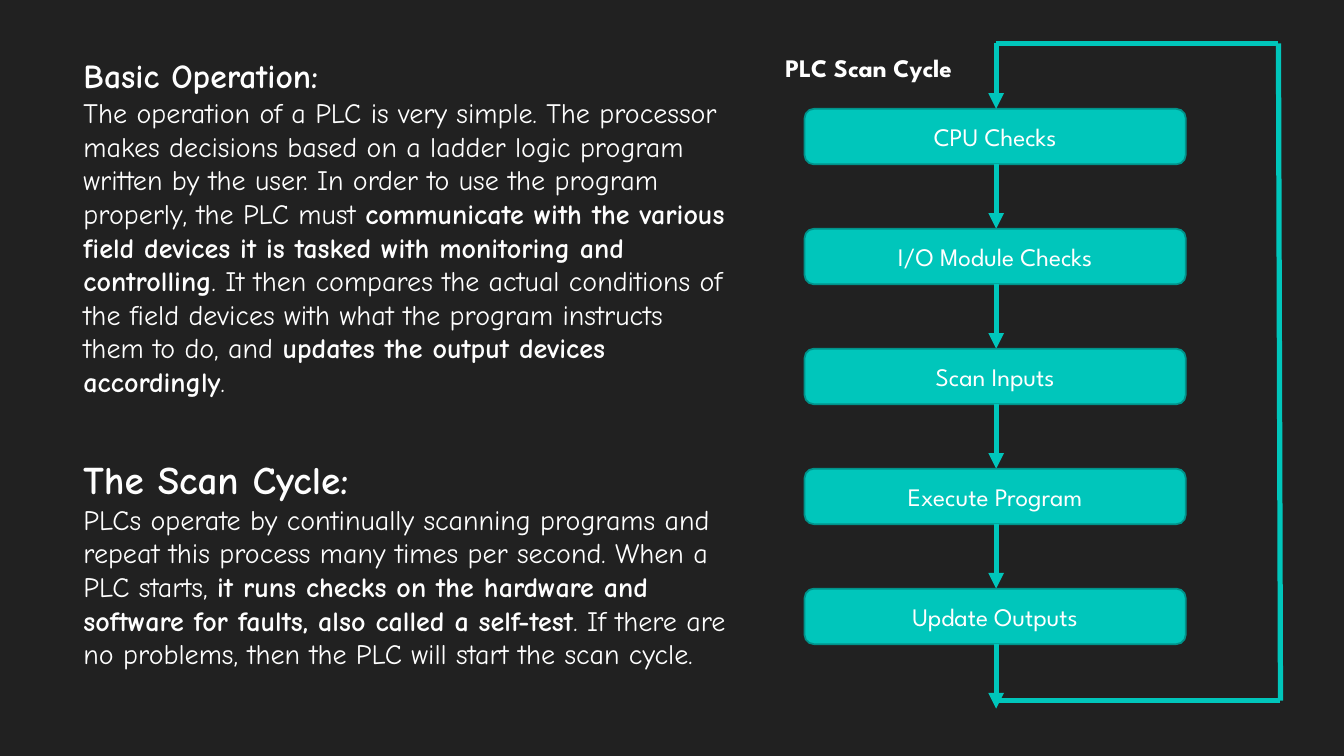
import dataclasses

import pptx
import pptx.dml.color
import pptx.enum.shapes
import pptx.enum.text
import pptx.oxml
import pptx.oxml.ns
import pptx.util

Inches = pptx.util.Inches
Pt = pptx.util.Pt


def color(code):
    """Return the colour for a hex code."""
    return pptx.dml.color.RGBColor.from_string(code)


@dataclasses.dataclass(frozen=True)
class Theme:
    """Colours, fonts and type sizes of the slide."""

    background = color("212121")
    prose = color("FEFEFE")
    label = color("FFFFFF")
    accent = color("00C6BB")
    outline = color("00928A")
    prose_font = "Comic Neue"
    label_font = "League Spartan"
    body_size = Pt(20)
    label_size = Pt(18)
    outline_width = Pt(1.25)
    arrow_width = Pt(3.75)


THEME = Theme()

BASIC_OPERATION = [
    ("The operation of a PLC is very simple. The processor makes decisions based on a "
     "ladder logic program written by the user. In order to use the program properly, "
     "the PLC must ", False),
    ("communicate with the various field devices it is tasked with monitoring and "
     "controlling", True),
    (". It then compares the actual conditions of the field devices with what the "
     "program instructs them to do, and ", False),
    ("updates the output devices accordingly", True),
    (".", False),
]
SCAN_CYCLE = [
    ("PLCs operate by continually scanning programs and repeat this process many times "
     "per second. When a PLC starts, ", False),
    ("it runs checks on the hardware and software for faults, also called a self-test",
     True),
    (". If there are no problems, then the PLC will start the scan cycle.", False),
]
STEPS = ["CPU Checks", "I/O Module Checks", "Scan Inputs", "Execute Program",
         "Update Outputs"]


def set_font(para, name, size, ink, bold=None):
    """Set the font of a whole paragraph."""
    para.font.name = name
    para.font.size = size
    para.font.color.rgb = ink
    para.font.bold = bold


def add_text_frame(page, left, top, width, height):
    """Add a wrapping text box anchored at the bottom and return its frame."""
    box = page.shapes.add_textbox(
        Inches(left), Inches(top), Inches(width), Inches(height))
    box.text_frame.word_wrap = True
    box.text_frame.vertical_anchor = pptx.enum.text.MSO_ANCHOR.BOTTOM
    return box.text_frame


def add_section(page, left, top, width, height, heading, heading_size, spans):
    """Add a heading with a paragraph of plain and bold spans below it."""
    frame = add_text_frame(page, left, top, width, height)
    title = frame.paragraphs[0]
    title.text = heading
    set_font(title, THEME.prose_font, heading_size, THEME.prose, True)
    para = frame.add_paragraph()
    set_font(para, THEME.prose_font, THEME.body_size, THEME.prose)
    for text, bold in spans:
        span = para.add_run()
        span.text = text
        span.font.bold = bold


def add_step(page, left, top, width, height, text):
    """Add one rounded step of the cycle."""
    step = page.shapes.add_shape(
        pptx.enum.shapes.MSO_SHAPE.ROUNDED_RECTANGLE,
        Inches(left), Inches(top), Inches(width), Inches(height))
    step.shadow.inherit = False
    step.fill.solid()
    step.fill.fore_color.rgb = THEME.accent
    step.line.color.rgb = THEME.outline
    step.line.width = THEME.outline_width
    step.text_frame.vertical_anchor = pptx.enum.text.MSO_ANCHOR.MIDDLE
    para = step.text_frame.paragraphs[0]
    para.text = text
    para.alignment = pptx.enum.text.PP_ALIGN.CENTER
    set_font(para, THEME.label_font, THEME.label_size, THEME.label)


def add_line(page, start, end, arrow=False):
    """Add a straight line, with an arrowhead at its end if asked."""
    line = page.shapes.add_connector(
        pptx.enum.shapes.MSO_CONNECTOR.STRAIGHT,
        *(Inches(value) for value in (*start, *end)))
    line.line.color.rgb = THEME.accent
    line.line.width = THEME.arrow_width
    properties = line._element.spPr
    if arrow:
        head = pptx.oxml.parse_xml(
            f'<a:tailEnd {pptx.oxml.ns.nsdecls("a")} type="triangle"/>')
        line.line._get_or_add_ln().append(head)
    properties.append(pptx.oxml.parse_xml(
        f'<a:effectLst {pptx.oxml.ns.nsdecls("a")}/>'))


def add_cycle(page, left, top, width, height):
    """Add the flow chart of steps with the loop back to the first."""
    step_width, step_height, pitch = 3.78, 0.55, 1.19
    first = top + 0.65
    center = left + step_width / 2 + 0.01
    right, bottom = left + width, top + height

    for index, text in enumerate(STEPS):
        step_top = first + index * pitch
        add_step(page, left, step_top, step_width, step_height, text)
        add_line(page, (center, step_top + step_height),
                 (center, step_top + pitch), arrow=True)

    add_line(page, (center, top), (center, first), arrow=True)
    corners = [(center, bottom), (right, bottom), (right - 0.02, top), (center, top)]
    for start, end in zip(corners, corners[1:]):
        add_line(page, start, end)

    para = add_text_frame(page, left - 0.29, top - 0.2, 2.21, 0.64).paragraphs[0]
    para.text = "PLC Scan Cycle"
    set_font(para, THEME.label_font, THEME.label_size, THEME.label, True)


def main():
    """Build the slide and save the deck."""
    deck = pptx.Presentation()
    deck.slide_width, deck.slide_height = Inches(13.33), Inches(7.5)
    page = deck.slides.add_slide(deck.slide_layouts[6])
    page.background.fill.solid()
    page.background.fill.fore_color.rgb = THEME.background
    add_section(page, 0.73, 0.8, 6.57, 3.2, "Basic Operation:", Pt(24), BASIC_OPERATION)
    add_section(page, 0.73, 4.19, 6.57, 2.51, "The Scan Cycle:", Pt(28), SCAN_CYCLE)
    add_cycle(page, 7.98, 0.43, 4.72, 6.52)
    deck.save("out.pptx")


if __name__ == "__main__":
    main()
